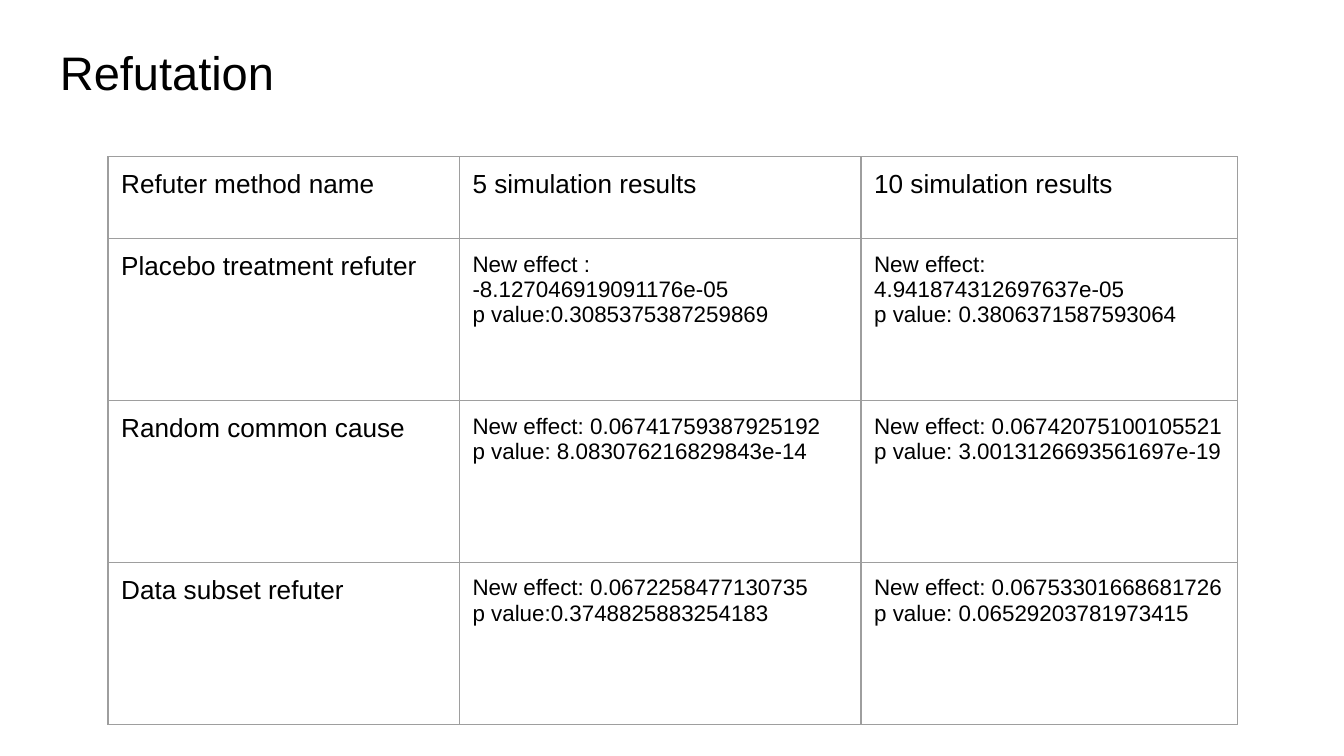
"""Build the Refutation slide with its table of refuter results."""
from lxml import etree
from pptx import Presentation
from pptx.dml.color import RGBColor
from pptx.enum.text import MSO_ANCHOR as Anchor, PP_ALIGN as Align
from pptx.oxml.ns import qn
from pptx.util import Cm, Pt

BLACK = RGBColor(0x00, 0x00, 0x00)
GREY = RGBColor(0x9E, 0x9E, 0x9E)
INSET = Cm(0.25)


def write_text(frame, text, size=14, font="Arial", color=BLACK):
    frame.text = text
    for paragraph in frame.paragraphs:
        paragraph.alignment = Align.LEFT
        for run in paragraph.runs:
            run.font.size = Pt(size)
            run.font.name = font
            run.font.bold = False
            run.font.color.rgb = color


def add_borders(cell, color=GREY, width=Pt(0.75)):
    properties = cell._tc.get_or_add_tcPr()
    for position, side in enumerate(("a:lnL", "a:lnR", "a:lnT", "a:lnB")):
        line = etree.Element(qn(side), w=str(width))
        fill = etree.SubElement(line, qn("a:solidFill"))
        etree.SubElement(fill, qn("a:srgbClr"), val=str(color))
        properties.insert(position, line)


presentation = Presentation()
presentation.slide_width = Cm(25.4)
presentation.slide_height = Cm(14.29)
slide = presentation.slides.add_slide(presentation.slide_layouts[5])

title = slide.shapes.title
title.left, title.top = Cm(0.88), Cm(0.56)
title.width, title.height = Cm(23.67), Cm(1.6)
title_frame = title.text_frame
title_frame.margin_left = title_frame.margin_right = INSET
title_frame.margin_top = title_frame.margin_bottom = INSET
title_frame.vertical_anchor = Anchor.MIDDLE
write_text(title_frame, "Refutation", size=25.2)

rows = [
    ("Refuter method name", "5 simulation results", "10 simulation results"),
    ("Placebo treatment refuter",
     "New effect : -8.127046919091176e-05\np value:0.3085375387259869",
     "New effect: 4.941874312697637e-05\np value: 0.3806371587593064"),
    ("Random common cause",
     "New effect: 0.06741759387925192\np value: 8.083076216829843e-14",
     "New effect: 0.06742075100105521\np value: 3.0013126693561697e-19"),
    ("Data subset refuter",
     "New effect: 0.0672258477130735\np value:0.3748825883254183",
     "New effect: 0.06753301668681726\np value: 0.06529203781973415"),
]
column_widths = [Cm(6.64), Cm(7.59), Cm(7.12)]
row_heights = [Cm(1.55)] + [Cm(3.06)] * 3

table = slide.shapes.add_table(
    len(rows), len(column_widths), Cm(2.04), Cm(2.96),
    sum(column_widths), sum(row_heights)).table
table.first_row = False
table.horz_banding = False
for column, width in zip(table.columns, column_widths):
    column.width = width
for row, height in zip(table.rows, row_heights):
    row.height = height

for row_index, texts in enumerate(rows):
    for column_index, text in enumerate(texts):
        cell = table.cell(row_index, column_index)
        cell.fill.background()
        cell.margin_left = cell.margin_right = INSET
        cell.margin_top = cell.margin_bottom = INSET
        cell.vertical_anchor = Anchor.TOP
        is_result = row_index > 0 and column_index > 0
        write_text(cell.text_frame, text, size=12 if is_result else 14)
        add_borders(cell)

presentation.save("out.pptx")
